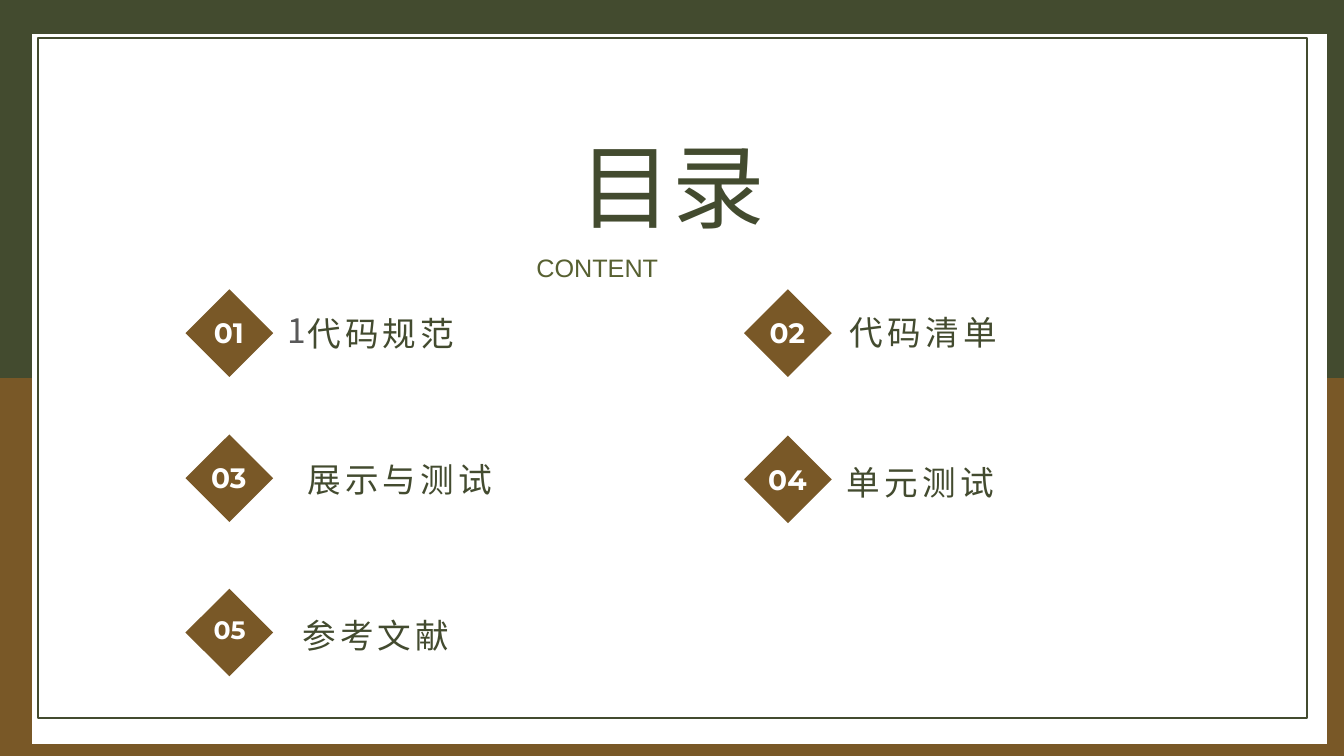
from lxml import etree
from pptx import Presentation
from pptx import util as u
from pptx.dml.color import RGBColor
from pptx.enum import shapes, text
from pptx.oxml.ns import qn

PX = 9144  # 100 px to the inch
GREEN, BROWN, WHITE = "434B2F", "795827", "FFFFFF"
CJK = "Noto Sans CJK SC"
THEME = {
    "title": dict(size=66, name=CJK, color=GREEN),
    "sub": dict(size=18, name="Arial", color="576031"),
    "item": dict(size=24, name=CJK, color=GREEN, spc=300),
    "stray": dict(size=24, name=CJK, color="595959", spc=300),
    "num": dict(size=20, name="Montserrat", color=WHITE, bold=True),
    "small": dict(size=18, name="Montserrat", color=WHITE, bold=True),
}
LEFT, CENTER, JUST = (text.PP_ALIGN.LEFT, text.PP_ALIGN.CENTER,
                      text.PP_ALIGN.JUSTIFY)
TOP, MIDDLE = text.MSO_ANCHOR.TOP, text.MSO_ANCHOR.MIDDLE
KIND = shapes.MSO_SHAPE

deck = Presentation()
deck.slide_width, deck.slide_height = 1333 * PX, 750 * PX
slide = deck.slides.add_slide(deck.slide_layouts[5])


def block(kind, at, fill=None, line=None):
    shape = slide.shapes.add_shape(kind, *(v * PX for v in at))
    shape.shadow.inherit = False
    if fill:
        shape.fill.solid()
        shape.fill.fore_color.rgb = RGBColor.from_string(fill)
    else:
        shape.fill.background()
    if line:
        shape.line.color.rgb = RGBColor.from_string(line)
        shape.line.width = u.Pt(1.5)
    else:
        shape.line.fill.background()


def write(words, at, role, align=LEFT, anchor=TOP, inset=True, wrap=True, box=None):
    """Put one styled line in box, or in a new text box."""
    box = box or slide.shapes.add_textbox(0, 0, 0, 0)
    for key, val in zip(("left", "top", "width", "height"), at):
        setattr(box, key, val * PX)
    frame = box.text_frame
    look = dict(word_wrap=wrap, vertical_anchor=anchor,
                auto_size=text.MSO_AUTO_SIZE.NONE)
    if not inset:
        look.update({f"margin_{side}": 0
                     for side in ("left", "top", "right", "bottom")})
    for key, val in look.items():
        setattr(frame, key, val)
    para = frame.paragraphs[0]
    para.alignment = align
    run = para.add_run()
    run.text = words
    style = THEME[role]
    font = run.font
    font.size = u.Pt(style["size"])
    font.name = style["name"]
    font.bold = style.get("bold", False)
    font.color.rgb = RGBColor.from_string(style["color"])
    props = run._r.get_or_add_rPr()
    etree.SubElement(props, qn("a:ea")).set("typeface", style["name"])
    if "spc" in style:
        props.set("spc", str(style["spc"]))


# Frame
block(KIND.RECTANGLE, (0, 375, 1333, 375), BROWN)
block(KIND.RECTANGLE, (0, 0, 1333, 375), GREEN)
block(KIND.RECTANGLE, (32, 34, 1284, 704), WHITE)
block(KIND.RECTANGLE, (38, 38, 1258, 674), line=GREEN)

# Heading
title = slide.shapes.title
title.element.getparent().append(title.element)  # in front of the frame
write("目录", (574, 128, 185, 111), "title", CENTER, inset=False, wrap=False, box=title)
write("CONTENT", (532, 250, 269, 30), "sub", JUST, inset=False)

# Contents: number, diamond corner, label and its corner
items = [
    ("01", 184, 287, "代码规范", 295, 306),
    ("02", 738, 287, "代码清单", 833, 305),
    ("03", 184, 431, "展示与测试", 295, 450),
    ("04", 738, 432, "单元测试", 830, 453),
    ("05", 184, 584, "参考文献", 290, 605),
]
for num, x, y, label, left, top in items:
    block(KIND.DIAMOND, (x, y, 87, 87), BROWN)
    if num == "05":
        write(num, (x + 18, y + 21, 58, 40), "small")
    else:
        write(num, (x + 8, y + 17, 70, 52), "num", CENTER, MIDDLE, inset=False)
    write(label, (left, top, 340, 50), "item")
write("1", (275, 303, 379, 50), "stray")

deck.save("out.pptx")
